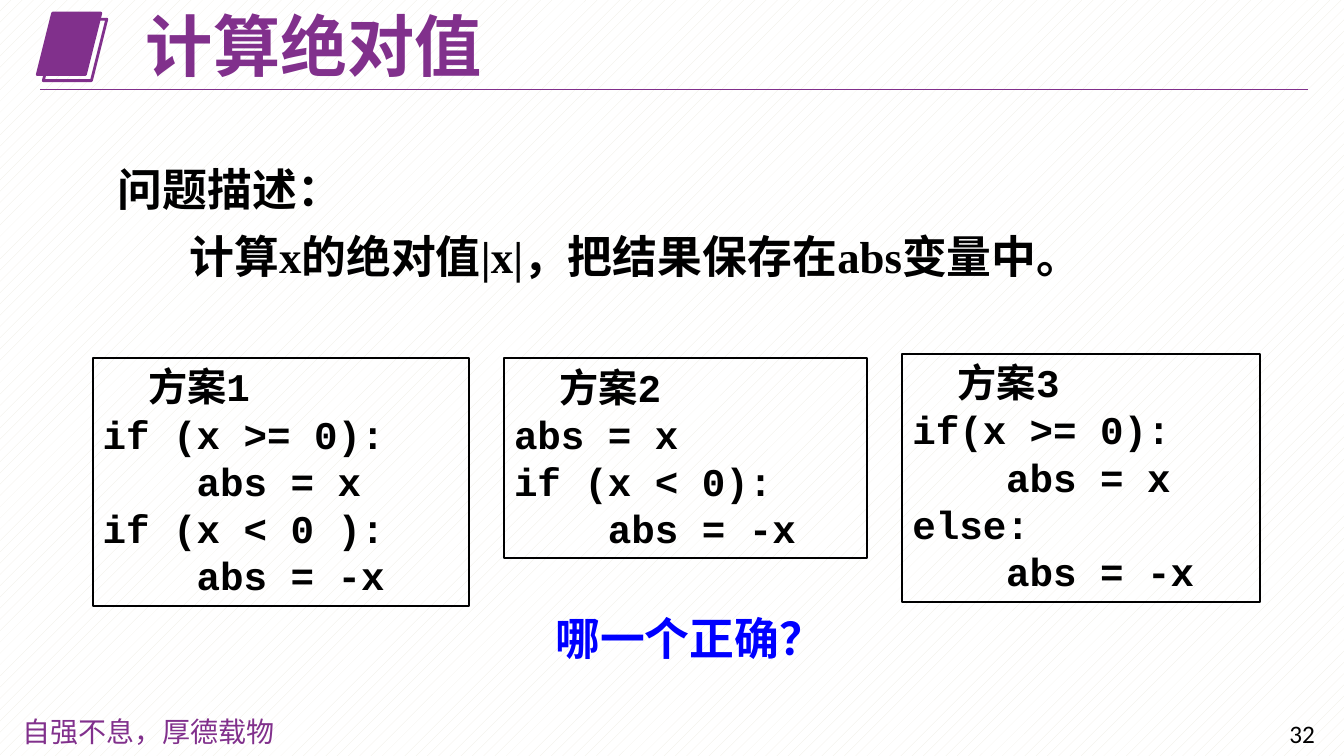
from dataclasses import dataclass, field

from lxml.etree import SubElement
from pptx import Presentation
from pptx.dml.color import RGBColor
from pptx.enum.dml import MSO_PATTERN
from pptx.enum.shapes import MSO_CONNECTOR, MSO_SHAPE
from pptx.enum.text import MSO_ANCHOR, PP_ALIGN
from pptx.oxml.ns import qn
from pptx.shapes.autoshape import Shape
from pptx.slide import Slide
from pptx.util import Emu, Pt

PX = 9144
PURPLE, BLACK, BLUE = "81308C", "000000", "0000FF"
SANS, SANS_JP = "Noto Sans CJK SC", "Noto Sans CJK JP"


@dataclass(frozen=True)
class Frame:
    left: int
    top: int
    width: int
    height: int

    def emu(self) -> list[Emu]:
        return [px(n) for n in (self.left, self.top, self.width, self.height)]


@dataclass(frozen=True)
class TextStyle:
    size: int
    latin: str
    asian: str = SANS
    color: str = BLACK
    bold: bool = True


@dataclass(frozen=True)
class Line:
    text: str
    indent: int = 0
    format: dict = field(default_factory=dict)


@dataclass(frozen=True)
class Label:
    frame: Frame
    style: TextStyle
    lines: list[Line]
    format: dict = field(default_factory=dict)


@dataclass(frozen=True)
class Solution:
    frame: Frame
    heading: str
    code: list[str]


def px(length: int) -> Emu:
    return Emu(length * PX)


def rgb(color: str) -> RGBColor:
    return RGBColor.from_string(color)


def apply(target: object, values: dict) -> None:
    for name, value in values.items():
        setattr(target, name, value)


def write(shape: Shape, lines: list[Line], style: TextStyle, values: dict) -> None:
    box = shape.text_frame
    apply(box, {"word_wrap": True, "vertical_anchor": MSO_ANCHOR.TOP} | values)
    for index, line in enumerate(lines):
        para = box.add_paragraph() if index else box.paragraphs[0]
        apply(para, {"alignment": PP_ALIGN.LEFT} | line.format)
        if line.indent:
            para._p.get_or_add_pPr().set("indent", str(px(line.indent)))
        span = para.add_run()
        span.text = line.text
        apply(span.font, {"size": Pt(style.size), "name": style.latin, "bold": style.bold})
        span.font.color.rgb = rgb(style.color)
        SubElement(span.font._element, qn("a:ea"), typeface=style.asian)


def add_label(page: Slide, label: Label) -> None:
    write(page.shapes.add_textbox(*label.frame.emu()), label.lines, label.style, label.format)


def add_outline(page: Slide, kind: MSO_SHAPE, frame: Frame, color: str, width: float) -> Shape:
    shape = page.shapes.add_shape(kind, *frame.emu())
    shape.shadow.inherit = False
    shape.fill.background()
    shape.line.color.rgb = rgb(color)
    shape.line.width = Pt(width)
    return shape


def add_emblem(page: Slide) -> None:
    front, _ = [
        add_outline(page, MSO_SHAPE.PARALLELOGRAM, Frame(37 + shift, 13 + shift, 63, 61), PURPLE, 2)
        for shift in (0, 6)
    ]
    front.fill.solid()
    front.fill.fore_color.rgb = rgb(PURPLE)


def add_rule(page: Slide) -> None:
    rule = page.shapes.add_connector(MSO_CONNECTOR.STRAIGHT, px(40), px(89), px(1297), px(89))
    rule.line.color.rgb = rgb(PURPLE)
    rule.line.width = Pt(0.75)
    SubElement(rule._element.spPr, qn("a:effectLst"))


def add_solution(page: Slide, solution: Solution) -> None:
    shape = add_outline(page, MSO_SHAPE.RECTANGLE, solution.frame, BLACK, 1.5)
    lines = [Line(solution.heading, 45), *map(Line, solution.code)]
    write(shape, lines, TextStyle(28, "Courier New"), {})


LABELS = [
    Label(Frame(12, 704, 278, 44), TextStyle(20, SANS_JP, SANS_JP, PURPLE, False),
          [Line("自强不息，厚德载物")]),
    Label(Frame(1269, 708, 61, 40), TextStyle(18, "Calibri", bold=False), [Line("32")]),
    Label(Frame(135, 11, 833, 76), TextStyle(48, SANS, color=PURPLE),
          [Line("计算绝对值", format={"line_spacing": 0.9})],
          {"vertical_anchor": MSO_ANCHOR.MIDDLE}),
    Label(Frame(107, 156, 1013, 145), TextStyle(32, "Times New Roman"),
          [Line("问题描述："),
           Line("计算x的绝对值|x|，把结果保存在abs变量中。", 71, {"space_before": Pt(9)})]),
    Label(Frame(541, 601, 287, 63), TextStyle(32, SANS, color=BLUE),
          [Line("哪一个正确？")], {"word_wrap": False}),
]

SOLUTIONS = [
    Solution(Frame(92, 355, 373, 246), "方案1",
             ["if (x >= 0):", "    abs = x", "if (x < 0 ):", "    abs = -x"]),
    Solution(Frame(500, 355, 360, 199), "方案2",
             ["abs = x", "if (x < 0):", "    abs = -x"]),
    Solution(Frame(895, 351, 355, 246), "方案3",
             ["if(x >= 0):", "    abs = x", "else:", "    abs = -x"]),
]


def main() -> None:
    deck = Presentation()
    apply(deck, {"slide_width": px(1333), "slide_height": px(750)})
    page = deck.slides.add_slide(deck.slide_layouts[6])
    backdrop = page.background.fill
    backdrop.patterned()
    backdrop.pattern = MSO_PATTERN.PERCENT_10
    backdrop.fore_color.rgb = rgb("EEECE1")
    backdrop.back_color.rgb = rgb("FFFFFF")
    add_emblem(page)
    add_rule(page)
    for label in LABELS:
        add_label(page, label)
    for solution in SOLUTIONS:
        add_solution(page, solution)
    deck.save("out.pptx")


if __name__ == "__main__":
    main()
